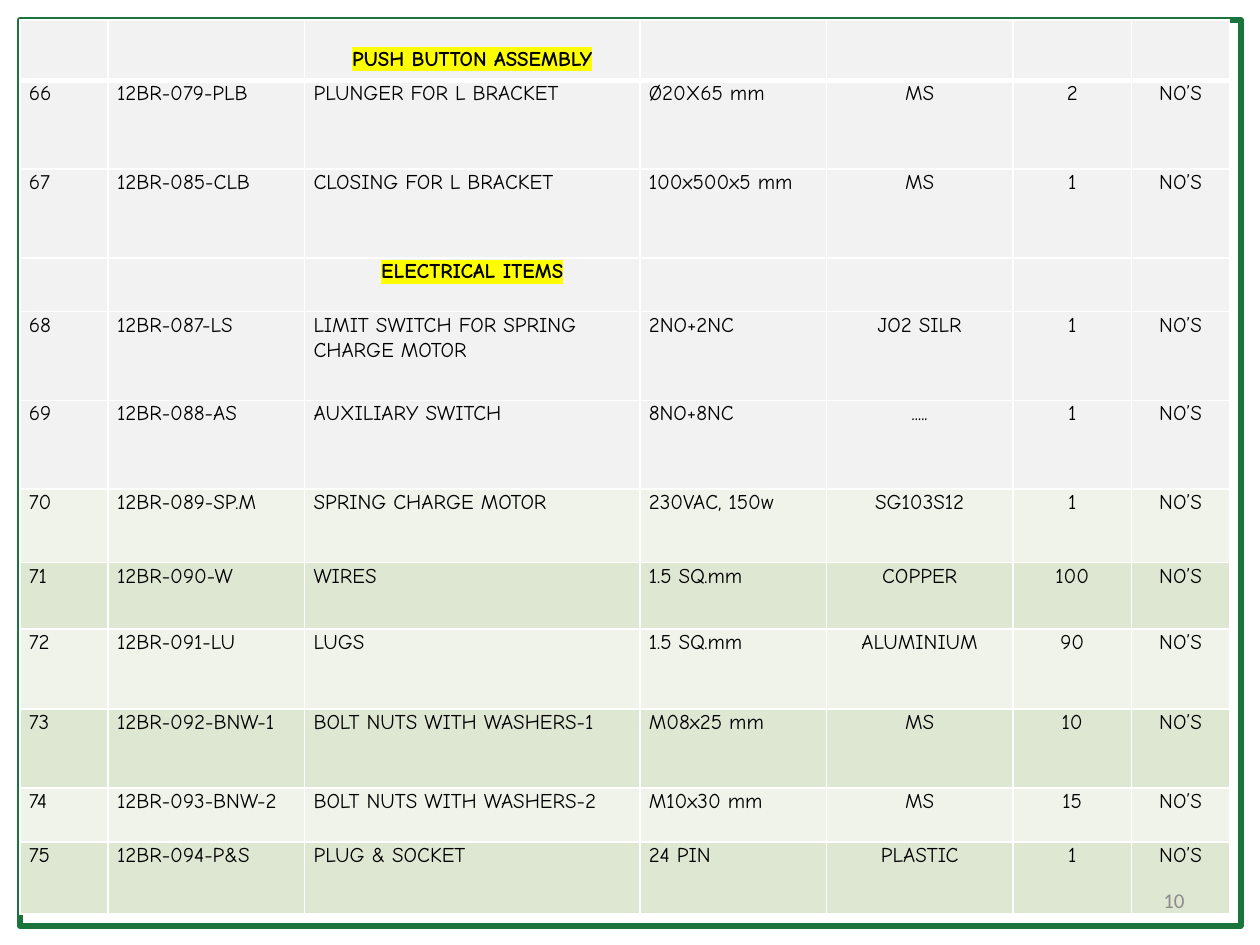
from dataclasses import dataclass

from lxml.etree import SubElement
from pptx import Presentation
from pptx.dml.color import RGBColor as RGB
from pptx.enum.shapes import MSO_SHAPE as SHAPE
from pptx.enum.text import MSO_ANCHOR as ANCHOR, PP_ALIGN as ALIGN
from pptx.oxml.ns import qn
from pptx.util import Cm, Pt


@dataclass(frozen=True)
class Theme:
    """Colours, fonts and sizes of the slide."""
    frame: str = "1A743C"
    grey: str = "F2F2F2"
    light: str = "EFF3EA"
    green: str = "DEE7D1"
    rule: str = "FFFFFF"
    ink: str = "000000"
    mark: str = "FFFF00"
    number: str = "8C8C8C"
    body_font: str = "Comic Neue"
    number_font: str = "Calibri"
    size: int = 12


THEME = Theme()
COLS = (1.78, 3.96, 6.76, 3.76, 3.76, 2.39, 1.98)
ITEM, UNIT = 1.79, "NO’S"
FIRST_CENTRED = 4
PARTS = (
    (1.22, THEME.grey, "PUSH BUTTON ASSEMBLY"),
    (ITEM, THEME.grey, "66", "12BR-079-PLB", "PLUNGER FOR L BRACKET", "Ø20X65 mm", "MS", "2"),
    (ITEM, THEME.grey, "67", "12BR-085-CLB", "CLOSING FOR L BRACKET", "100x500x5 mm", "MS", "1"),
    (1.08, THEME.grey, "ELECTRICAL ITEMS"),
    (ITEM, THEME.grey, "68", "12BR-087-LS", "LIMIT SWITCH FOR SPRING CHARGE MOTOR", "2NO+2NC",
     "JO2 SILR", "1"),
    (ITEM, THEME.grey, "69", "12BR-088-AS", "AUXILIARY SWITCH", "8NO+8NC", ".....", "1"),
    (1.48, THEME.light, "70", "12BR-089-SP.M", "SPRING CHARGE MOTOR", "230VAC, 150w", "SG103S12", "1"),
    (1.34, THEME.green, "71", "12BR-090-W", "WIRES", "1.5 SQ.mm", "COPPER", "100"),
    (1.61, THEME.light, "72", "12BR-091-LU", "LUGS", "1.5 SQ.mm", "ALUMINIUM", "90"),
    (1.6, THEME.green, "73", "12BR-092-BNW-1", "BOLT NUTS WITH WASHERS-1", "M08x25 mm", "MS", "10"),
    (1.08, THEME.light, "74", "12BR-093-BNW-2", "BOLT NUTS WITH WASHERS-2", "M10x30 mm", "MS", "15"),
    (1.46, THEME.green, "75", "12BR-094-P&S", "PLUG & SOCKET", "24 PIN", "PLASTIC", "1"),
)


def style_font(font, name, color, bold=False):
    """Apply the theme's type size with the given face and colour."""
    font.name, font.size, font.bold = name, Pt(THEME.size), bold
    font.color.rgb = RGB.from_string(color)


def solid(parent, tag, color):
    """Append an element holding one RGB colour."""
    SubElement(SubElement(parent, qn(tag)), qn("a:srgbClr")).set("val", color)


def add_borders(cell, bottom):
    """Draw white rules round a cell, with its own bottom width."""
    tcPr = cell._tc.get_or_add_tcPr()
    for side, width in (("L", 1), ("R", 1), ("T", 1), ("B", bottom)):
        ln = SubElement(tcPr, qn(f"a:ln{side}"))
        ln.set("w", str(Pt(width)))
        solid(ln, "a:solidFill", THEME.rule)


def fill_cell(cell, text, fill, centred, heading, bottom):
    """Write and style one table cell."""
    add_borders(cell, bottom)
    cell.fill.solid()
    cell.fill.fore_color.rgb = RGB.from_string(fill)
    cell.margin_left = cell.margin_right = Cm(0.18)
    cell.margin_top = cell.margin_bottom = 0
    p = cell.text_frame.paragraphs[0]
    p.alignment = ALIGN.CENTER if centred else ALIGN.LEFT
    p.line_spacing = 1.07
    style_font(p.font, THEME.body_font, THEME.ink, heading)
    if text:
        r = p.add_run()
        r.text = text
        if heading:
            solid(r._r.get_or_add_rPr(), "a:highlight", THEME.mark)


def add_parts_table(slide, x, y):
    """Place the parts list with its top left corner at x, y."""
    height = sum(part[0] for part in PARTS)
    frame = slide.shapes.add_table(len(PARTS), len(COLS), Cm(x), Cm(y), Cm(sum(COLS)), Cm(height))
    table = frame.table
    for col, width in zip(table.columns, COLS):
        col.width = Cm(width)
    for i, (row_height, fill, *texts) in enumerate(PARTS):
        table.rows[i].height = Cm(row_height)
        heading = len(texts) == 1
        values = ["", "", *texts, "", "", "", ""] if heading else [*texts, UNIT]
        for j, text in enumerate(values):
            centred = heading or j >= FIRST_CENTRED
            fill_cell(table.cell(i, j), text, fill, centred, heading, 1 if i else 3)
    title = table.cell(0, 2)
    title.vertical_anchor = ANCHOR.BOTTOM
    title.margin_bottom = Cm(0.18)


def add_frame(slide, x, y, w, h):
    """Outline the page with a green rectangle."""
    sp = slide.shapes.add_shape(SHAPE.RECTANGLE, Cm(x), Cm(y), Cm(w), Cm(h))
    sp.shadow.inherit = False
    sp.fill.background()
    sp.line.color.rgb = RGB.from_string(THEME.frame)
    sp.line.width = Pt(3.5)


def add_page_number(slide, x, y, w, h):
    """Write the page number at the right of its box."""
    tf = slide.shapes.add_textbox(Cm(x), Cm(y), Cm(w), Cm(h)).text_frame
    tf.word_wrap = True
    tf.vertical_anchor = ANCHOR.MIDDLE
    p = tf.paragraphs[0]
    p.text = "10"
    p.alignment = ALIGN.RIGHT
    style_font(p.font, THEME.number_font, THEME.number)


def main():
    """Build the slide and save it."""
    prs = Presentation()
    prs.slide_width, prs.slide_height = Cm(25.4), Cm(19.05)
    slide = prs.slides.add_slide(prs.slide_layouts[6])
    add_frame(slide, 0.4, 0.4, 24.61, 18.26)
    add_parts_table(slide, 0.4, 0.4)
    add_page_number(slide, 18.2, 17.65, 5.93, 1.01)
    prs.save("out.pptx")


if __name__ == "__main__":
    main()
